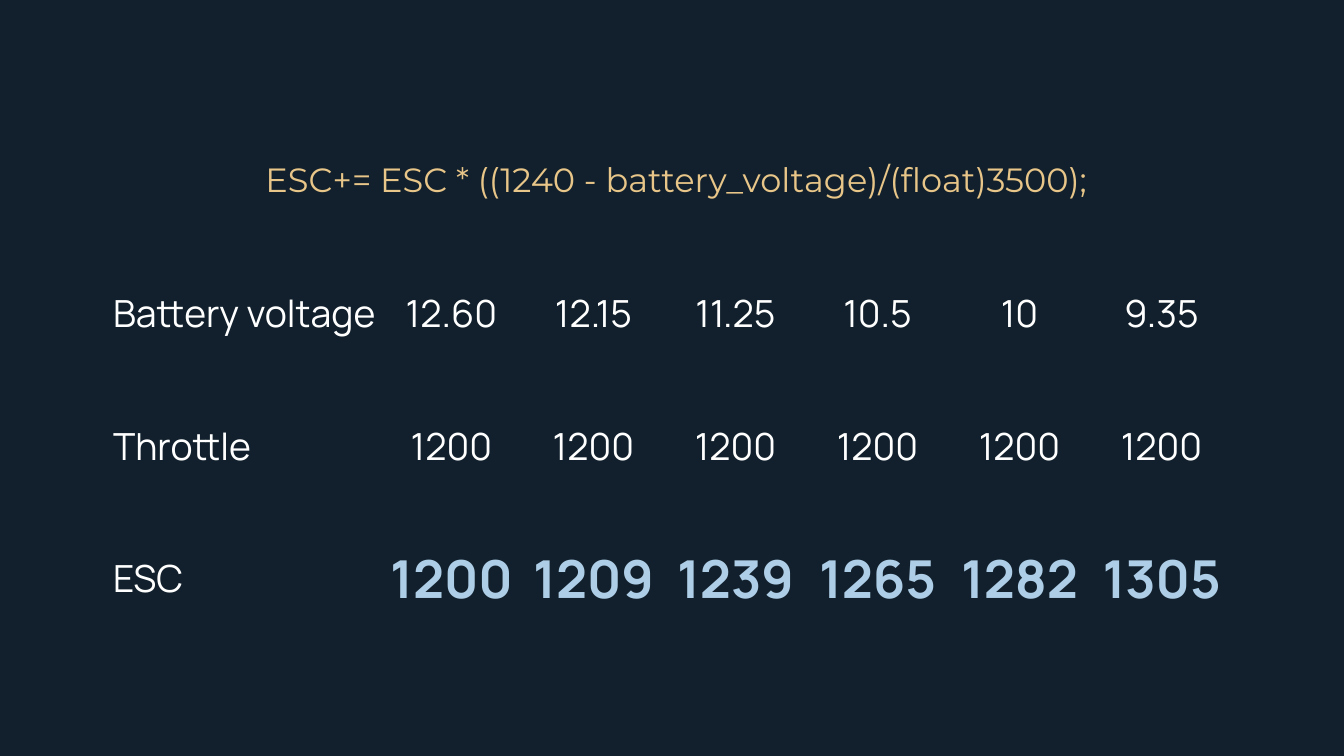
from dataclasses import dataclass

import pptx
import pptx.dml.color
import pptx.enum.text
import pptx.oxml.ns
import pptx.util

Pt = pptx.util.Pt
Align = pptx.enum.text.PP_ALIGN


@dataclass(frozen=True)
class Theme:
    background: str = "11202C"
    body: str = "FFFFFF"
    formula: str = "E8C588"
    result: str = "AECDE6"
    body_font: str = "Manrope"
    formula_font: str = "Montserrat"
    body_size: int = 20
    formula_size: int = 18
    result_size: int = 28
    plain_table_style: str = "{2D5ABB26-0587-4C30-8999-92F81FD0307C}"


@dataclass(frozen=True)
class Measure:
    label: str
    values: tuple[str, ...]
    is_result: bool = False


THEME = Theme()
MEASURES = (
    Measure("Battery voltage", ("12.60", "12.15", "11.25", "10.5", "10", "9.35")),
    Measure("Throttle", ("1200",) * 6),
    Measure("ESC", ("1200", "1209", "1239", "1265", "1282", "1305"), is_result=True),
)
LABEL_WIDTH, VALUE_WIDTH, ROW_HEIGHT = 144, 76.1, 71.1


def write(frame, text: str, *, size: float, color: str, font: str,
          bold: bool = False, align=Align.LEFT) -> None:
    paragraph = frame.paragraphs[0]
    paragraph.alignment = align
    run = paragraph.add_run()
    run.text = text
    run.font.size = Pt(size)
    run.font.name = font
    run.font.bold = bold
    run.font.color.rgb = pptx.dml.color.RGBColor.from_string(color)


def fill_cell(cell, text: str, **text_format) -> None:
    cell.fill.background()
    cell.vertical_anchor = pptx.enum.text.MSO_ANCHOR.MIDDLE
    cell.margin_left = cell.margin_right = cell.margin_top = Pt(0.75)
    cell.margin_bottom = Pt(0)
    write(cell.text_frame, text, font=THEME.body_font, **text_format)


def add_measures(slide, measures: tuple[Measure, ...]) -> None:
    value_count = len(measures[0].values)
    table = slide.shapes.add_table(
        len(measures), value_count + 1, Pt(59.8), Pt(131.8),
        Pt(LABEL_WIDTH + value_count * VALUE_WIDTH), Pt(len(measures) * ROW_HEIGHT),
    ).table
    table.first_row = table.horz_banding = False
    style_tag = pptx.oxml.ns.qn("a:tableStyleId")
    next(table._tbl.iter(style_tag)).text = THEME.plain_table_style

    for index, column in enumerate(table.columns):
        column.width = Pt(VALUE_WIDTH if index else LABEL_WIDTH)
    for row, measure in zip(table.rows, measures):
        row.height = Pt(ROW_HEIGHT)
        label_cell, *value_cells = row.cells
        fill_cell(label_cell, measure.label, size=THEME.body_size, color=THEME.body)
        for cell, value in zip(value_cells, measure.values):
            fill_cell(
                cell, value, align=Align.CENTER, bold=measure.is_result,
                size=THEME.result_size if measure.is_result else THEME.body_size,
                color=THEME.result if measure.is_result else THEME.body,
            )


def add_formula(slide, code: str) -> None:
    frame = slide.shapes.add_textbox(Pt(120), Pt(81.4), Pt(480), Pt(29)).text_frame
    frame.word_wrap = True
    frame.auto_size = pptx.enum.text.MSO_AUTO_SIZE.SHAPE_TO_FIT_TEXT
    write(frame, code, size=THEME.formula_size, color=THEME.formula,
          font=THEME.formula_font, align=Align.CENTER)


def main() -> None:
    deck = pptx.Presentation()
    deck.slide_width, deck.slide_height = Pt(720), Pt(405)
    slide = deck.slides.add_slide(deck.slide_layouts[6])
    background = slide.background.fill
    background.solid()
    background.fore_color.rgb = pptx.dml.color.RGBColor.from_string(THEME.background)
    add_measures(slide, MEASURES)
    add_formula(slide, " ESC+= ESC * ((1240 - battery_voltage)/(float)3500);")
    deck.save("out.pptx")


if __name__ == "__main__":
    main()
